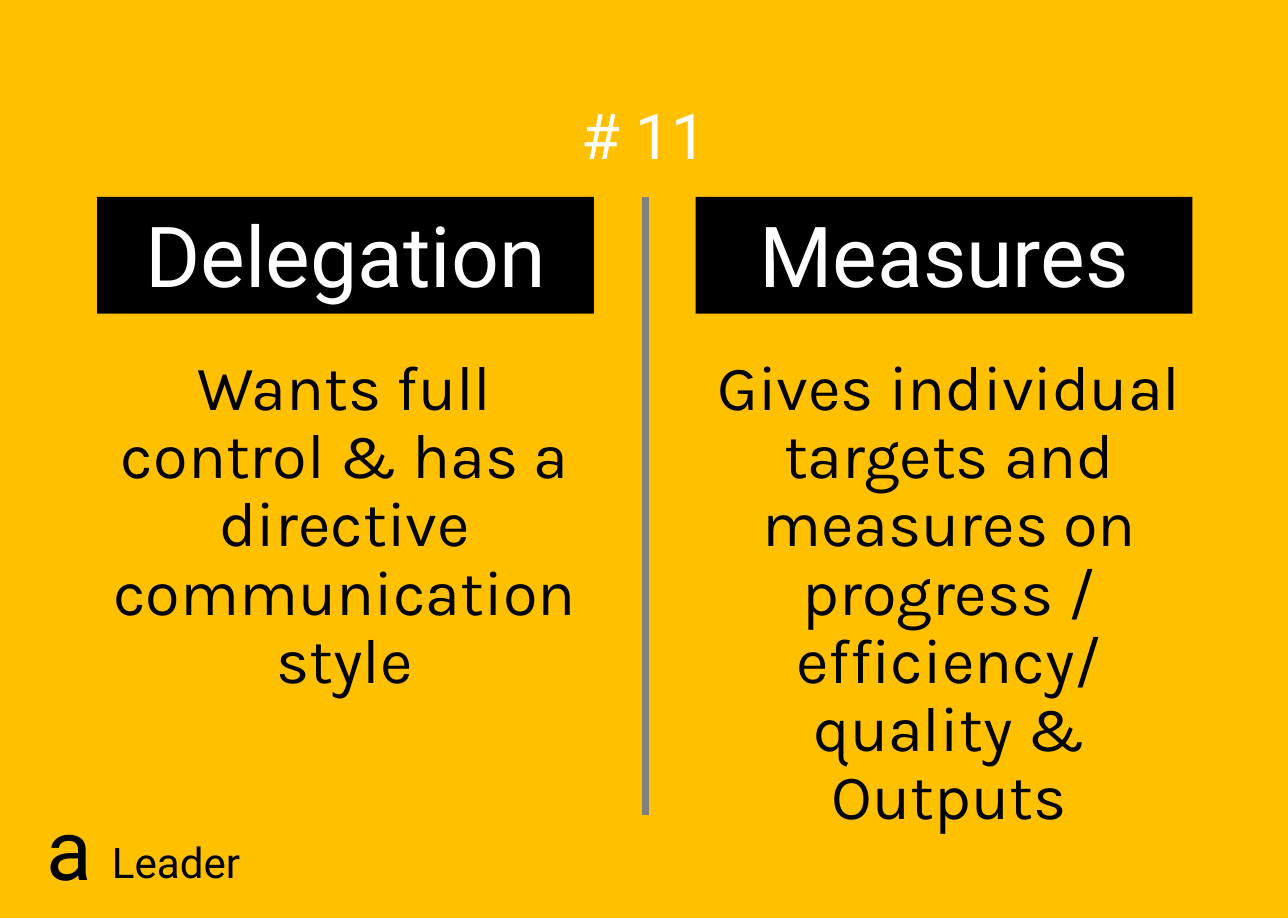
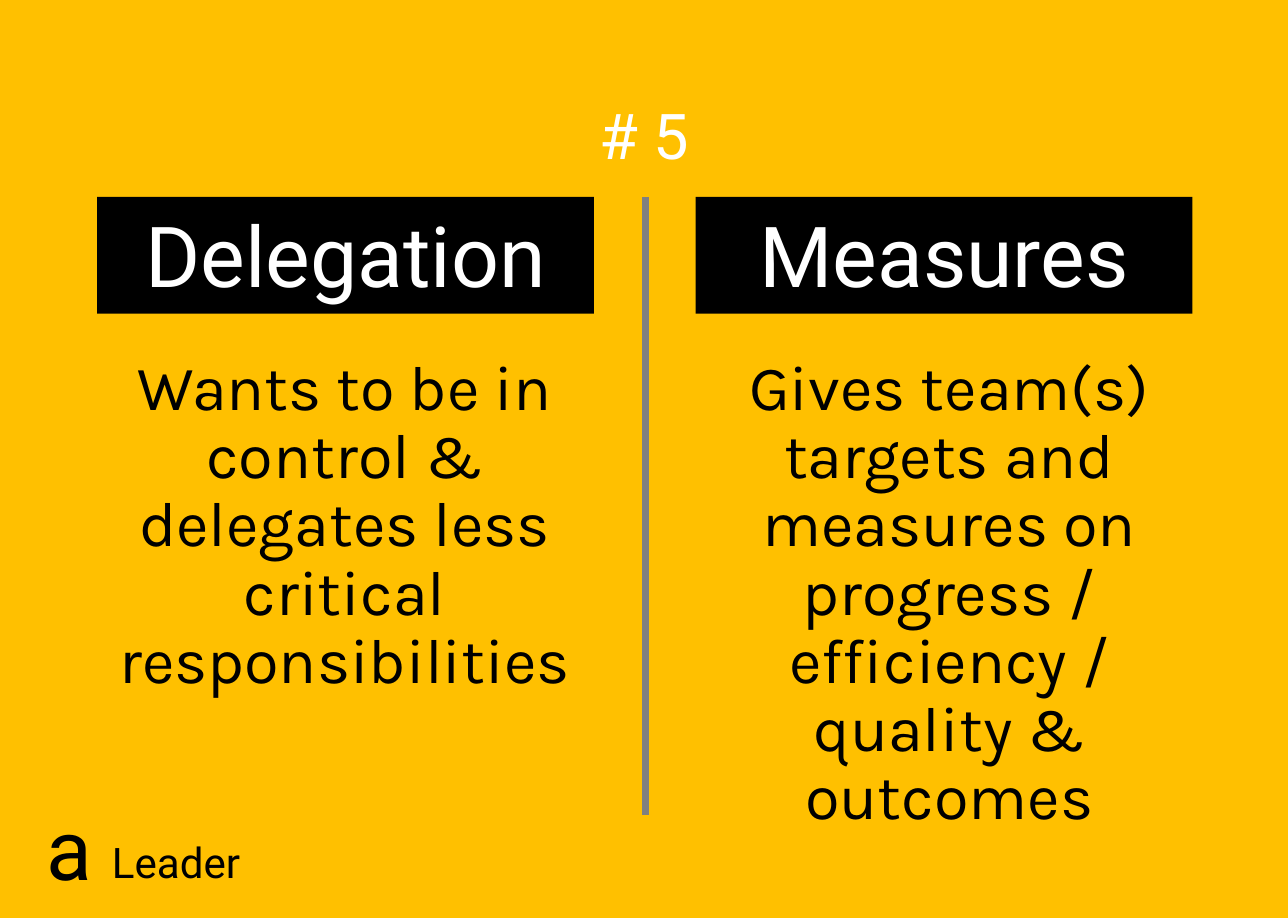
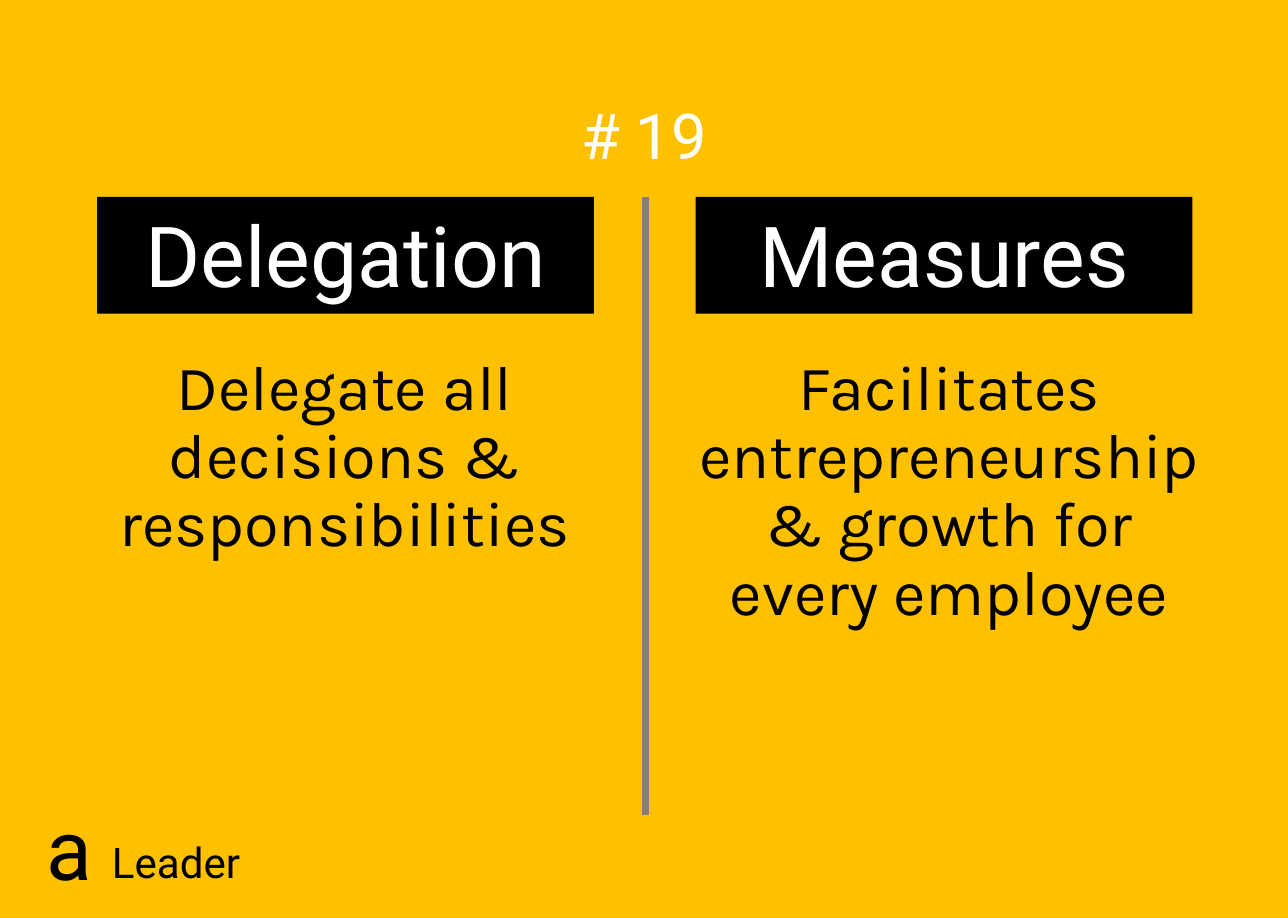
"""Build three leadership cards comparing delegation and measures."""
from lxml import etree
from pptx import Presentation
from pptx.dml.color import RGBColor
from pptx.enum.shapes import MSO_CONNECTOR
from pptx.enum.text import MSO_ANCHOR, MSO_AUTO_SIZE, PP_ALIGN
from pptx.oxml.ns import qn
from pptx.util import Inches, Pt

GOLD = RGBColor(0xFF, 0xC0, 0x00)
BLACK = RGBColor(0, 0, 0)
WHITE = RGBColor(0xFF, 0xFF, 0xFF)
GRAY = RGBColor(0x80, 0x80, 0x80)
TOP, BOTTOM = MSO_ANCHOR.TOP, MSO_ANCHOR.BOTTOM
LEFT, CENTER = PP_ALIGN.LEFT, PP_ALIGN.CENTER
FIXED = MSO_AUTO_SIZE.NONE
STRAIGHT = MSO_CONNECTOR.STRAIGHT

WIDTH, HEIGHT = 8.5, 6.06
HEAD_Y, HEAD_W, HEAD_H = 1.3, 3.28, 0.77
BODY_Y, BASE = 2.19, 5.38
MID = 4.26
COLUMNS = [
    {"head": "Delegation", "slots": (1, 2), "left": 0.64, "body": (0.5, 3.55)},
    {"head": "Measures", "slots": (3, 4), "left": 4.59, "body": (4.46, 3.61)},
]
FOOTER = [("a", 40, (0.21, 5.21, 0.43, 0.77)),
          ("Leader", 20, (0.64, 5.47, 1.8, 0.44))]
CARDS = [
    ("# 11",
     "Wants full control & has a directive communication style",
     "Gives individual targets and measures on progress / efficiency/ quality & Outputs"),
    ("# 5",
     "Wants to be in control & delegates less critical responsibilities",
     "Gives team(s) targets and measures on progress / efficiency / quality & outcomes"),
    ("# 19",
     "Delegate all decisions & responsibilities",
     "Facilitates entrepreneurship & growth for every employee"),
]


def place(shape, box):
    shape.left, shape.top, shape.width, shape.height = map(Inches, box)


def write(shape, text, size, color, font="Roboto", align=CENTER,
          anchor=TOP, inset=0.05, pitch=0.9):
    frame = shape.text_frame
    frame.word_wrap = True
    frame.auto_size = FIXED
    frame.vertical_anchor = anchor
    frame.margin_left = frame.margin_right = Inches(0.1)
    frame.margin_top, frame.margin_bottom = Inches(inset), Inches(0.05)
    para = frame.paragraphs[0]
    props = para._p.get_or_add_pPr()
    props.set("marL", "0")
    props.set("indent", "0")
    etree.SubElement(props, qn("a:buNone"))
    para.alignment = align
    para.line_spacing = pitch
    para.space_before = Pt(0)
    run = para.add_run()
    run.text = text
    run.font.name, run.font.size = font, Pt(size)
    run.font.bold = False
    run.font.color.rgb = color


def add_rule(slide, layout):
    rule = slide.shapes.add_connector(
        STRAIGHT, *map(Inches, (MID, HEAD_Y, MID, BASE)))
    rule.line.color.rgb = GRAY
    rule.line.width = Pt(3)
    etree.SubElement(rule.element.spPr, qn("a:effectLst"))
    layout.shapes.element.append(rule.element)


def add_card(deck, layout, number, *texts):
    slide = deck.slides.add_slide(layout)
    title = slide.shapes.title
    place(title, (3.64, 0.53, 1.22, HEAD_H))
    write(title, number, 30, WHITE, inset=0.16)
    for col, text in zip(COLUMNS, texts):
        head, body = (slide.placeholders[slot] for slot in col["slots"])
        left, width = col["body"]
        place(body, (left, BODY_Y, width, BASE - BODY_Y))
        write(body, text, 30, BLACK, font="Karla", inset=0.16)
        place(head, (col["left"], HEAD_Y, HEAD_W, HEAD_H))
        head.fill.solid()
        head.fill.fore_color.rgb = BLACK
        write(head, col["head"], 40, WHITE, anchor=BOTTOM)
    for text, size, box in FOOTER:
        label = slide.shapes.add_textbox(*map(Inches, box))
        write(label, text, size, BLACK, align=LEFT, pitch=1.0)
    return slide


def main():
    deck = Presentation()
    deck.slide_width, deck.slide_height = Inches(WIDTH), Inches(HEIGHT)
    layout = deck.slide_layouts.get_by_name("Comparison")
    layout.background.fill.solid()
    layout.background.fill.fore_color.rgb = GOLD
    slides = [add_card(deck, layout, *card) for card in CARDS]
    add_rule(slides[0], layout)
    deck.save("out.pptx")


if __name__ == "__main__":
    main()
